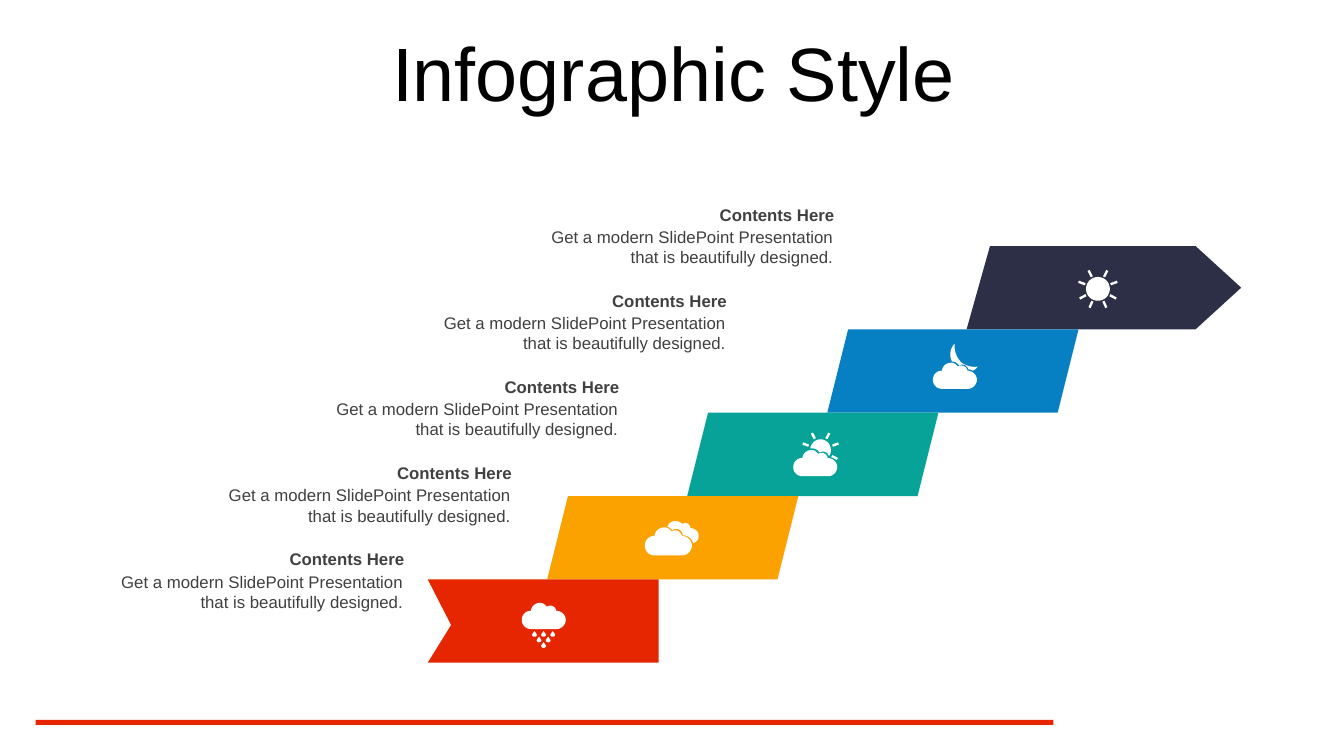
"""Build a weather staircase infographic slide with five captioned steps."""
import dataclasses
import math

import pptx
import pptx.dml.color
import pptx.enum.shapes
import pptx.enum.text
import pptx.util

Cm = pptx.util.Cm
PRESET = pptx.enum.shapes.MSO_SHAPE
ALIGN = pptx.enum.text.PP_ALIGN


@dataclasses.dataclass(frozen=True)
class Theme:
    font: str = "Arial"
    title_size: int = 54
    text_size: int = 12
    title: str = "000000"
    text: str = "404040"
    icon: str = "FFFFFF"
    navy: str = "2C2F45"
    blue: str = "0680C3"
    teal: str = "07A398"
    amber: str = "FBA200"
    red: str = "E62601"


THEME = Theme()
BAND_TOP, BAND_HEIGHT = 6.2, 2.1
BAND_LEFT, BAND_WIDTH, BAND_SHIFT = 20.85, 6.33, 3.53
CAPTION_LEFT, CAPTION_TOP = 13.0, 5.03
CAPTION_SHIFT, CAPTION_DROP, CAPTION_COUNT = 2.71, 2.17, 5
HEADING = "Contents Here"
BODY = "Get a modern SlidePoint Presentation that is beautifully designed."

ARROW = [(24.95, 6.2), (30.13, 6.2), (31.28, 7.25), (30.13, 8.3), (24.36, 8.3)]
RIBBON = [(10.78, 14.6), (16.6, 14.6), (16.6, 16.7), (10.78, 16.7), (11.37, 15.75)]

CLOUD = [
    (0.46, 0), (0.53, 0, 0.59, 0.04, 0.63, 0.1), (0.66, 0.08, 0.69, 0.07, 0.72, 0.07),
    (0.79, 0.07, 0.86, 0.13, 0.87, 0.2), (1, 0.2, 1.11, 0.31, 1.11, 0.43),
    (1.11, 0.55, 1, 0.66, 0.89, 0.66), (0.89, 0.66, 0.23, 0.66, 0.23, 0.66),
    (0.1, 0.66, 0, 0.56, 0, 0.43), (0, 0.3, 0.1, 0.2, 0.23, 0.2),
    (0.24, 0.09, 0.34, 0, 0.46, 0),
]
BACK_CLOUD = [
    (0.76, -0.16), (0.84, -0.16, 0.91, -0.13, 0.95, -0.08),
    (0.97, -0.1, 0.99, -0.11, 1.02, -0.11), (1.09, -0.11, 1.15, -0.06, 1.15, 0.02),
    (1.27, 0.02, 1.36, 0.11, 1.36, 0.22), (1.36, 0.3, 1.3, 0.37, 1.22, 0.4),
    (1.19, 0.28, 1.09, 0.2, 0.96, 0.2), (0.95, 0.1, 0.88, 0.04, 0.79, 0.04),
    (0.75, 0.04, 0.72, 0.05, 0.69, 0.07), (0.66, 0.03, 0.62, 0, 0.57, -0.02),
    (0.6, -0.1, 0.68, -0.16, 0.76, -0.16),
]
MOON = [
    (0.55, -0.48), (0.53, -0.31, 0.59, -0.15, 0.7, -0.02),
    (0.82, 0.08, 0.98, 0.12, 1.13, 0.1), (1.1, 0.15, 1.05, 0.18, 1.01, 0.2),
    (0.97, 0.18, 0.93, 0.17, 0.9, 0.17), (0.87, 0.1, 0.82, 0.05, 0.75, 0.05),
    (0.72, 0.05, 0.69, 0.05, 0.66, 0.07), (0.63, 0.01, 0.56, -0.03, 0.48, -0.03),
    (0.41, -0.18, 0.43, -0.36, 0.55, -0.48),
]
HALF_SUN = [
    (0.69, -0.27), (0.83, -0.27, 0.95, -0.15, 0.95, 0), (0.95, 0.05, 0.94, 0.11, 0.9, 0.15),
    (0.88, 0.09, 0.83, 0.04, 0.76, 0.04), (0.73, 0.04, 0.69, 0.05, 0.66, 0.06),
    (0.63, 0, 0.56, -0.04, 0.49, -0.04), (0.47, -0.04, 0.45, -0.04, 0.43, -0.04),
    (0.45, -0.17, 0.56, -0.27, 0.69, -0.27),
]
DROP = [
    (0, 0), (0.02, 0.03, 0.06, 0.08, 0.06, 0.1), (0.06, 0.16, -0.06, 0.16, -0.06, 0.1),
    (-0.06, 0.08, -0.02, 0.03, 0, 0),
]


def colour(value):
    """Turn a hexadecimal string into a colour."""
    return pptx.dml.color.RGBColor.from_string(value)


def apply_format(target, values):
    """Set every attribute named in a dict of format values."""
    for name, value in values.items():
        setattr(target, name, value)


def paint(shape, fill):
    """Give a shape a plain fill without line or shadow."""
    shape.shadow.inherit = False
    shape.fill.solid()
    shape.fill.fore_color.rgb = colour(fill)
    shape.line.fill.background()


def add_preset(slide, preset, box, fill):
    """Add a plain preset shape at a box given in centimetres."""
    paint(slide.shapes.add_shape(preset, *map(Cm, box)), fill)


def add_outline(slide, contours, fill):
    """Add one filled freeform made of closed contours in centimetres."""
    contours = [[(Cm(x), Cm(y)) for x, y in contour] for contour in contours]
    builder = slide.shapes.build_freeform(*contours[0][0])
    for index, contour in enumerate(contours):
        if index:
            builder.move_to(*contour[0])
        builder.add_line_segments(contour[1:], close=True)
    paint(builder.convert_to_shape(), fill)


def add_text(slide, box, text, font, frame=None, paragraph_format=None):
    """Add a wrapped text box with one formatted paragraph."""
    text_frame = slide.shapes.add_textbox(*map(Cm, box)).text_frame
    apply_format(text_frame, {
        "word_wrap": True,
        "auto_size": pptx.enum.text.MSO_AUTO_SIZE.SHAPE_TO_FIT_TEXT,
        **(frame or {}),
    })
    paragraph = text_frame.paragraphs[0]
    paragraph.text = text
    apply_format(paragraph, paragraph_format or {"alignment": ALIGN.RIGHT})
    size, text_colour, bold = font
    apply_format(paragraph.font, {"name": THEME.font, "size": pptx.util.Pt(size), "bold": bold})
    paragraph.font.color.rgb = colour(text_colour)


def curve(segments, left, top, scale=1, steps=8):
    """Sample a chain of cubic curves placed at a left and top position."""
    points = [segments[0]]
    for x1, y1, x2, y2, x3, y3 in segments[1:]:
        x0, y0 = points[-1]
        for t in (step / steps for step in range(1, steps + 1)):
            a, b, c, d = (1 - t) ** 3, 3 * t * (1 - t) ** 2, 3 * t * t * (1 - t), t ** 3
            points.append((a * x0 + b * x1 + c * x2 + d * x3, a * y0 + b * y1 + c * y2 + d * y3))
    return [(left + scale * x, top + scale * y) for x, y in points]


def disc(x, y, radius, sides=48):
    """Return the points of a round disc."""
    angles = [math.tau * side / sides for side in range(sides)]
    return [(x + radius * math.cos(a), y + radius * math.sin(a)) for a in angles]


def rays(x, y, inner, outer, degrees, half_width=0.03):
    """Return one thin bar for each sun ray."""
    corners = [(inner, -half_width), (outer, -half_width), (outer, half_width), (inner, half_width)]
    turns = [(math.cos(math.radians(angle)), math.sin(math.radians(angle))) for angle in degrees]
    return [[(x + u * c - v * s, y + u * s + v * c) for u, v in corners] for c, s in turns]


def rain(left, top):
    """Return three narrowing rows of drops below a cloud."""
    return [curve(DROP, left + 0.32 + 0.115 * row + 0.23 * column, top + 0.71 + 0.14 * row)
            for row in range(3) for column in range(3 - row)]


def add_caption(slide, index):
    """Add the body and heading beside one step, counted from the top."""
    left = CAPTION_LEFT - CAPTION_SHIFT * index
    top = CAPTION_TOP + CAPTION_DROP * index
    add_text(slide, (left, top + 0.56, 8.25, 1.27), BODY, (THEME.text_size, THEME.text, False))
    add_text(slide, (left, top, 8.28, 0.76), HEADING, (THEME.text_size, THEME.text, True))


def add_bands(slide):
    """Add the staircase from the arrow head down to the ribbon tail."""
    add_outline(slide, [ARROW], THEME.navy)
    for index, fill in enumerate((THEME.blue, THEME.teal, THEME.amber)):
        box = (BAND_LEFT - BAND_SHIFT * index, BAND_TOP + BAND_HEIGHT * (index + 1),
               BAND_WIDTH, BAND_HEIGHT)
        add_preset(slide, PRESET.PARALLELOGRAM, box, fill)
    add_outline(slide, [RIBBON], THEME.red)


def add_icons(slide):
    """Add one weather icon to each step."""
    cloudy, day, wet, night, sun = (
        (16.25, 13.29), (19.99, 11.34), (13.15, 15.19), (23.51, 9.14), (27.67, 7.28))
    upper = (-20, -63, -117, -160)
    icons = [
        [curve(CLOUD, *cloudy, scale=1.07), curve(BACK_CLOUD, *cloudy)],
        [curve(CLOUD, *day), curve(HALF_SUN, *day),
         *rays(day[0] + 0.69, day[1], 0.32, 0.48, (*upper, 28))],
        [curve(CLOUD, *wet), *rain(*wet)],
        [curve(CLOUD, *night), curve(MOON, *night)],
        [disc(*sun, 0.3), *rays(*sun, 0.34, 0.52, (*upper, 28, 66, 114, 152))],
    ]
    for contours in icons:
        add_outline(slide, contours, THEME.icon)


def main():
    """Build the slide and save it."""
    presentation = pptx.Presentation()
    apply_format(presentation, {"slide_width": Cm(33.87), "slide_height": Cm(19.05)})
    slide = presentation.slides.add_slide(presentation.slide_layouts[6])
    add_preset(slide, PRESET.RECTANGLE, (0.9, 18.14, 25.65, 0.13), THEME.red)
    add_text(slide, (0.9, 0.78, 32.15, 2.34), "Infographic Style",
             (THEME.title_size, THEME.title, False),
             {"vertical_anchor": pptx.enum.text.MSO_ANCHOR.MIDDLE},
             {"alignment": ALIGN.CENTER, "line_spacing": 0.9})
    add_bands(slide)
    for index in range(CAPTION_COUNT):
        add_caption(slide, index)
    add_icons(slide)
    presentation.save("out.pptx")


if __name__ == "__main__":
    main()
